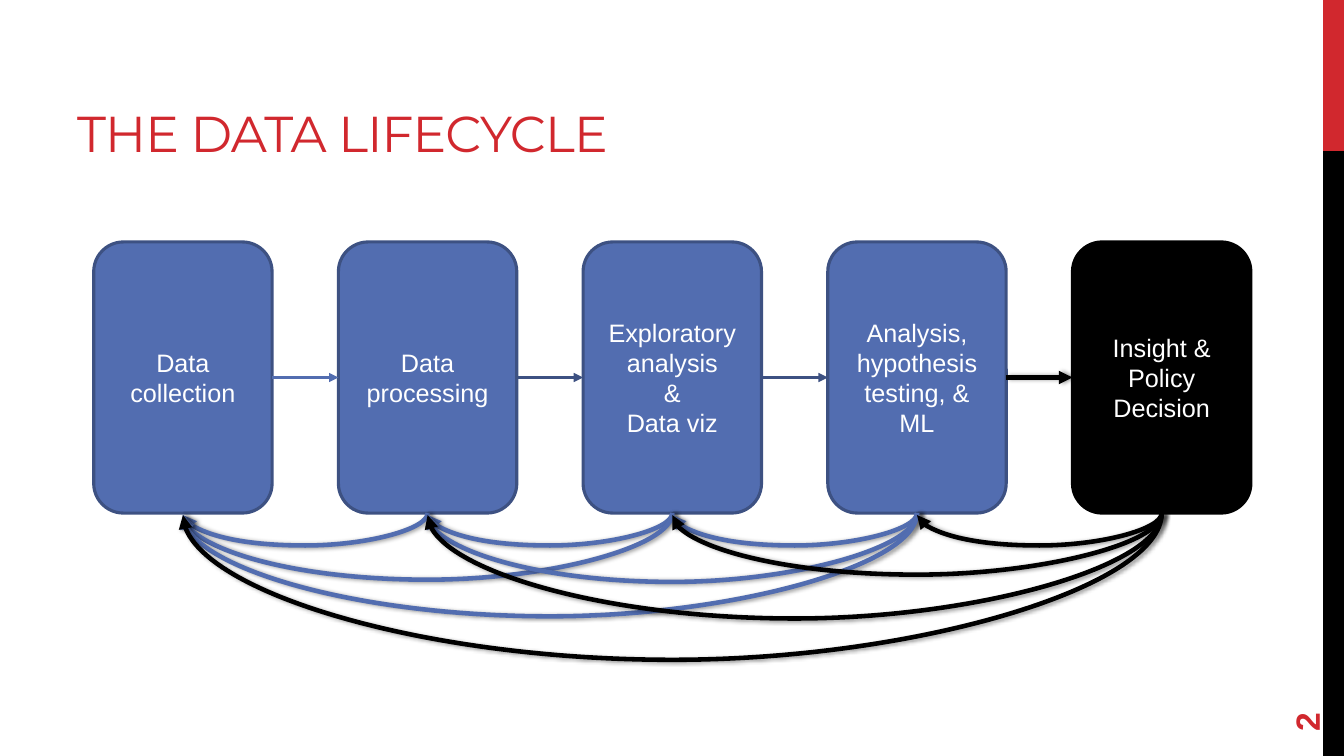
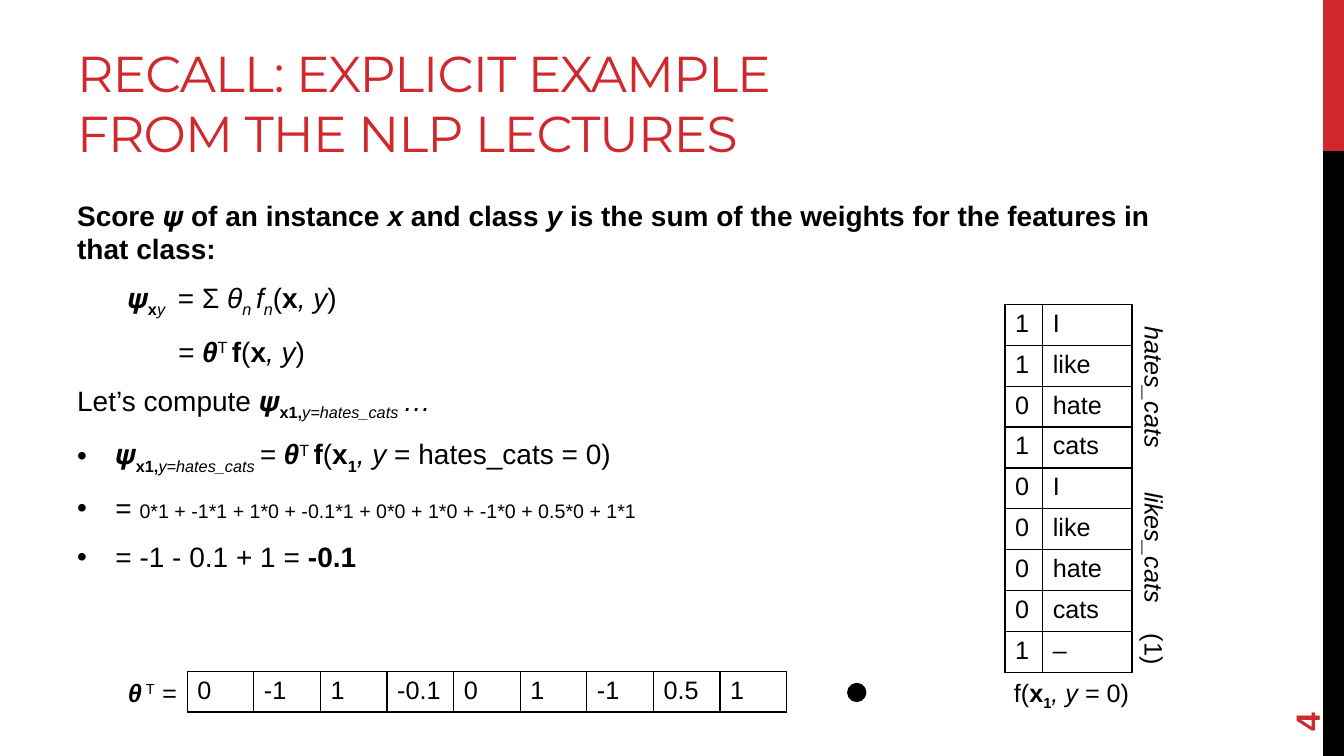
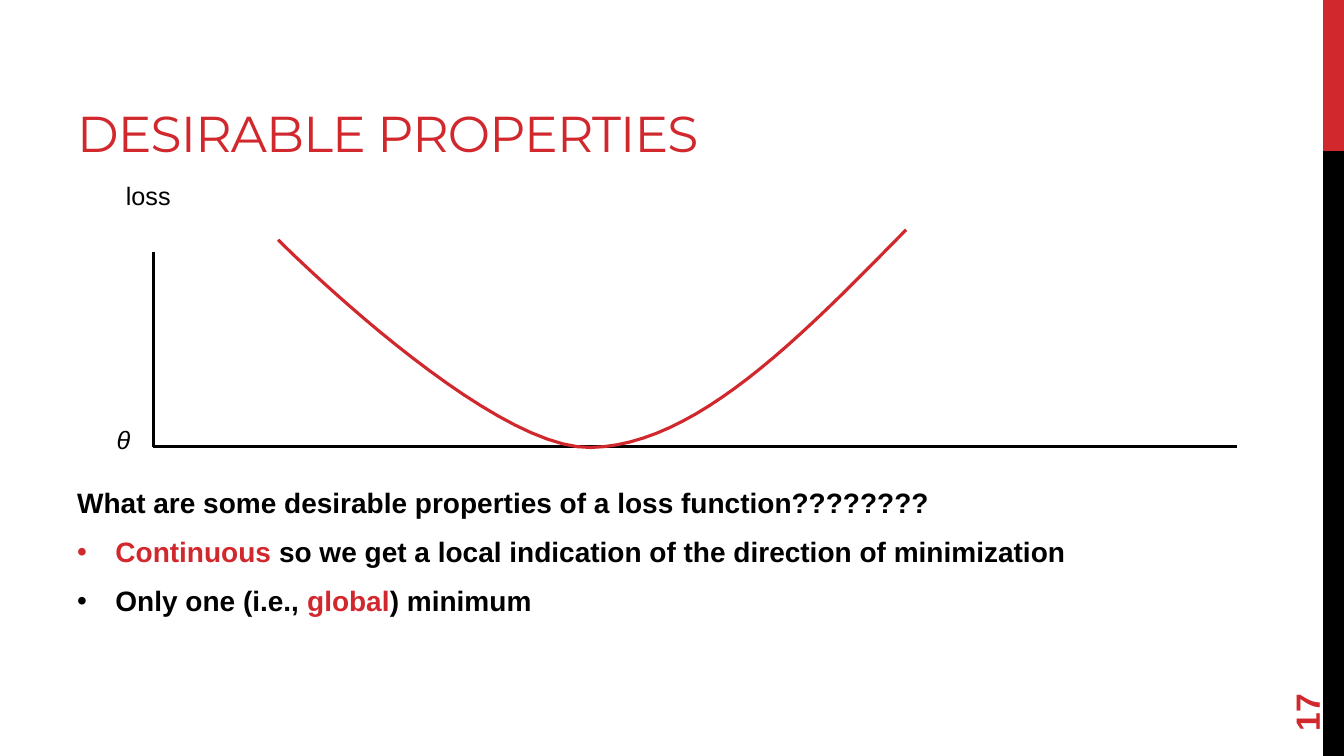
from dataclasses import dataclass
from typing import NamedTuple

from lxml import etree
from pptx import Presentation
from pptx import util as u
from pptx.dml.color import RGBColor
from pptx.enum import shapes, text
from pptx.oxml import ns

# The slide is a grid of square cells
COLUMNS, ROWS = 160, 90
CELL = u.Inches(7.5) // ROWS

RED = RGBColor(0xD1, 0x28, 0x2E)
BLACK = RGBColor(0, 0, 0)
WHITE = RGBColor(0xFF, 0xFF, 0xFF)
BLUE = RGBColor(0x52, 0x6D, 0xB0)
NAVY = RGBColor(0x3D, 0x51, 0x82)

BODY_FONT, TITLE_FONT = "Arial", "Montserrat"
BODY_SIZE, LABEL_SIZE = 20, 18
THIN, THICK = 2.25, 3.25
INDENT = u.Inches(0.38)
LEFT, MIDDLE = text.PP_ALIGN.LEFT, text.PP_ALIGN.CENTER


class Area(NamedTuple):
    left: float
    top: float
    width: float
    height: float


class Point(NamedTuple):
    x: float
    y: float


class Span(NamedTuple):
    """Text with marks: b bold, i italic, ^ raised, _ lowered, r red, s small."""
    words: str
    marks: str = ""


@dataclass
class Line:
    spans: list[Span]
    bullet: bool = False
    bold: bool = False


@dataclass
class Stage:
    lines: list[str]
    fill: RGBColor = BLUE
    edge: RGBColor = NAVY


@dataclass
class Loop:
    start: int
    end: int
    depth: float


@dataclass
class Label:
    area: Area
    spans: list[Span]
    align: text.PP_ALIGN = LEFT
    rotation: float = 0


BODY = Area(8, 23, 133.3, 57.4)
TITLE = Area(8, 2, 101.3, 18)
NUMBER = Area(146.88, 76.44, 17.28, 6.36)
BANDS = [(Area(157.5, 0, 2.5, 18), RED), (Area(157.5, 18, 2.5, 72), BLACK)]


def cells(count: float) -> u.Emu:
    return u.Emu(round(count * CELL))


def place(area) -> list[u.Emu]:
    return [cells(length) for length in area]


# Text
def write(para, spans, size, color=BLACK, font=BODY_FONT, bold=False) -> None:
    para.font.name, para.font.size, para.font.bold = font, u.Pt(size), bold
    para.font.color.rgb = color
    for words, marks in spans:
        run = para.add_run()
        run.text = words
        if "b" in marks:
            run.font.bold = True
        if "i" in marks:
            run.font.italic = True
        if "r" in marks:
            run.font.color.rgb = RED
        if "s" in marks:
            run.font.size = u.Pt(14)
        if "^" in marks or "_" in marks:
            shift = "30000" if "^" in marks else "-25000"
            run._r.get_or_add_rPr().set("baseline", shift)


def add_box(page, area, anchor=text.MSO_ANCHOR.TOP, rotation=0.0):
    box = page.shapes.add_textbox(*place(area))
    box.rotation = rotation
    box.text_frame.word_wrap = True
    box.text_frame.vertical_anchor = anchor
    return box.text_frame


def add_label(page, label: Label) -> None:
    para = add_box(page, label.area, rotation=label.rotation).paragraphs[0]
    para.alignment = label.align
    write(para, label.spans, LABEL_SIZE)


def add_body(page, area: Area, lines: list[Line]) -> None:
    frame = add_box(page, area)
    for index, line in enumerate(lines):
        para = frame.add_paragraph() if index else frame.paragraphs[0]
        if line.bullet:
            props = para._p.get_or_add_pPr()
            props.set("marL", str(INDENT))
            props.set("indent", str(-INDENT))
            etree.SubElement(props, ns.qn("a:buFont"), typeface=BODY_FONT)
            etree.SubElement(props, ns.qn("a:buChar"), char="•")
        if index:
            para.space_before = u.Pt(5)
        para.space_after = u.Pt(6)
        write(para, line.spans, BODY_SIZE, bold=line.bold)


# Shapes and lines
def add_shape(page, kind, area, fill, edge=None):
    shape = page.shapes.add_shape(kind, *place(area))
    shape.shadow.inherit = False
    shape.fill.solid()
    shape.fill.fore_color.rgb = fill
    if edge is None:
        shape.line.fill.background()
    else:
        shape.line.color.rgb, shape.line.width = edge, u.Pt(THIN)
    return shape


def add_line(page, start, end, color=BLACK, width=THIN, arrow=False,
             shadow=False, kind=shapes.MSO_CONNECTOR.STRAIGHT):
    line = page.shapes.add_connector(kind, *place(start), *place(end))
    line.line.color.rgb, line.line.width = color, u.Pt(width)
    props = line._element.spPr
    if arrow:
        etree.SubElement(line.line._get_or_add_ln(), ns.qn("a:tailEnd"), type="triangle")
    effects = etree.SubElement(props, ns.qn("a:effectLst"))
    if shadow:
        cast = etree.SubElement(effects, ns.qn("a:outerShdw"), blurRad="40000",
                                dist="23000", dir="0", rotWithShape="0")
        tint = etree.SubElement(cast, ns.qn("a:srgbClr"), val=str(BLACK))
        etree.SubElement(tint, ns.qn("a:alpha"), val="40000")
    return line


def add_loop(page, start: Point, end: Point, depth: float, color) -> None:
    """Curved arrow that hangs below two points and runs from right to left."""
    drop, span = 0.24, start.x - end.x
    corner = Point((start.x + end.x - drop) / 2, start.y + (drop - span) / 2)
    curve = add_line(page, corner, Point(corner.x + drop, corner.y + span), color,
                     THICK, arrow=True, shadow=True, kind=shapes.MSO_CONNECTOR.CURVE)
    props = curve._element.spPr
    props.find(ns.qn("a:xfrm")).set("rot", "5400000")
    geometry = props.find(ns.qn("a:prstGeom"))
    guides = geometry.get_or_add_avLst()
    etree.SubElement(guides, ns.qn("a:gd"), name="adj1",
                     fmla=f"val {round(depth / drop * 100000)}")


def add_grid(page, left, top, widths, row_height, rows) -> None:
    area = Area(left, top, sum(widths), row_height * len(rows))
    table = page.shapes.add_table(len(rows), len(widths), *place(area)).table
    table.first_row = table.horz_banding = False
    for column, width in zip(table.columns, widths):
        column.width = cells(width)
    for row, values in zip(table.rows, rows):
        row.height = cells(row_height)
        for cell, value in zip(row.cells, values):
            write(cell.text_frame.paragraphs[0], [Span(value)], LABEL_SIZE)
            props = cell._tc.get_or_add_tcPr()
            for side in ("lnL", "lnR", "lnT", "lnB"):
                edge = etree.SubElement(props, ns.qn(f"a:{side}"), w=str(u.Pt(1)))
                paint = etree.SubElement(edge, ns.qn("a:solidFill"))
                etree.SubElement(paint, ns.qn("a:srgbClr"), val=str(BLACK))
            cell.fill.background()


def bezier(a: Point, b: Point, c: Point, d: Point, steps: int = 24) -> list[Point]:
    points = []
    for step in range(1, steps + 1):
        t = step / steps
        weights = ((1 - t) ** 3, 3 * t * (1 - t) ** 2, 3 * t * t * (1 - t), t ** 3)
        points.append(Point(*(sum(w * v for w, v in zip(weights, axis))
                              for axis in zip(a, b, c, d))))
    return points


# Parts shared by all slides
def add_page(deck, title: str, number: int):
    page = deck.slides.add_slide(deck.slide_layouts[6])
    for area, color in BANDS:
        add_shape(page, shapes.MSO_SHAPE.RECTANGLE, area, color)
    para = add_box(page, TITLE, text.MSO_ANCHOR.BOTTOM).paragraphs[0]
    write(para, [Span(title)], 36, RED, TITLE_FONT)
    para.runs[0]._r.get_or_add_rPr().set("spc", "-60")
    para = add_box(page, NUMBER, text.MSO_ANCHOR.MIDDLE, 270).paragraphs[0]
    write(para, [Span(str(number))], 24, RED, bold=True)
    return page


def lifecycle(deck) -> None:
    page = add_page(deck, "THE DATA LIFECYCLE", 2)
    stages = [
        Stage(["Data collection"]),
        Stage(["Data processing"]),
        Stage(["Exploratory analysis", "&", "Data viz"]),
        Stage(["Analysis, hypothesis testing, & ML"]),
        Stage(["Insight & Policy Decision"], BLACK, BLACK),
    ]
    first, pitch = Area(11.16, 28.8, 21.24, 32.28), 29.13
    boxes = []
    for index, stage in enumerate(stages):
        area = first._replace(left=first.left + index * pitch)
        box = add_shape(page, shapes.MSO_SHAPE.ROUNDED_RECTANGLE, area, stage.fill, stage.edge)
        frame = box.text_frame
        frame.word_wrap = True
        frame.vertical_anchor = text.MSO_ANCHOR.MIDDLE
        for row, words in enumerate(stage.lines):
            para = frame.add_paragraph() if row else frame.paragraphs[0]
            para.alignment = MIDDLE
            write(para, [Span(words)], LABEL_SIZE, WHITE)
        boxes.append(box)

    # Forward arrows
    for index, color in enumerate([BLUE, NAVY, NAVY, BLACK]):
        last = color == BLACK
        arrow = add_line(page, Point(0, 0), Point(1, 1), color,
                         THICK if last else THIN, arrow=True, shadow=last)
        arrow.begin_connect(boxes[index], 3)
        arrow.end_connect(boxes[index + 1], 1)

    # Arrows back to earlier stages
    feet = [Point(first.left + first.width / 2 + index * pitch, first.top + first.height)
            for index in range(len(stages))]
    loops = [Loop(1, 0, 3.84), Loop(2, 1, 3.84), Loop(2, 0, 7.9),
             Loop(3, 2, 3.84), Loop(3, 1, 8.16), Loop(3, 0, 12.24),
             Loop(4, 3, 3.84), Loop(4, 2, 7.3), Loop(4, 1, 12.5), Loop(4, 0, 17.4)]
    for loop in loops:
        add_loop(page, feet[loop.start], feet[loop.end], loop.depth, stages[loop.start].fill)


def explicit_example(deck) -> None:
    page = add_page(deck, "RECALL: EXPLICIT EXAMPLE FROM THE NLP LECTURES", 4)
    weights_by_features = [Span("θ", "bi"), Span("T ", "^"), Span("f", "b"),
                           Span("("), Span("x", "b")]
    instance = [Span("x1,", "b_"), Span("y=hates_cats ", "i_")]
    add_body(page, BODY, [
        Line([Span("Score "), Span("𝝍 "), Span("of an instance "), Span("x", "i"),
              Span(" and class "), Span("y", "i"),
              Span(" is the sum of the weights for the features in that class:")], bold=True),
        Line([Span("\t𝝍"), Span("x", "b_"), Span("y\t", "i_"), Span("= Σ "),
              Span("θ", "i"), Span("n ", "i_"), Span("f", "i"), Span("n", "i_"),
              Span("("), Span("x", "b"), Span(", y", "i"), Span(")")]),
        Line([Span("\t\t= ", "i"), *weights_by_features, Span(", y", "i"), Span(")")]),
        Line([Span("Let’s compute 𝝍"), *instance, Span("…", "i")]),
        Line([Span("𝝍"), *instance, Span("= ", "i"), *weights_by_features,
              Span("1", "b_"), Span(", y ", "i"), Span("= hates_cats = 0)")], bullet=True),
        Line([Span("= "), Span("0*1 + -1*1 + 1*0 + -0.1*1 + 0*0 + 1*0 + -1*0 + 0.5*0 + 1*1",
                               "s")], bullet=True),
        Line([Span("= -1 - 0.1 + 1 = "), Span("-0.1", "b")], bullet=True),
    ])

    # Weights and features
    weights = ["0", "-1", "1", "-0.1", "0", "1", "-1", "0.5", "1"]
    counts = "110100001"
    terms = ["I", "like", "hate", "cats"] * 2 + ["–"]
    row_height = 4.87
    add_grid(page, 22.3, 79.9, [7.93] * len(weights), row_height, [weights])
    add_grid(page, 119.64, 36.24, [4.5, 10.62], row_height, list(zip(counts, terms)))
    add_shape(page, shapes.MSO_SHAPE.OVAL, Area(101.04, 81.48, 1.92, 1.92), BLACK, BLACK)

    labels = [
        Label(Area(9.4, 80.04, 12.8, 4.8),
              [Span("θ", "bi"), Span(" T", "^"), Span(" =", "i")], text.PP_ALIGN.RIGHT),
        Label(Area(127.56, 43.68, 19.8, 4.8), [Span("hates_cats", "i")], MIDDLE, 90),
        Label(Area(127.56, 62.76, 19.8, 4.8), [Span("likes_cats", "i")], MIDDLE, 90),
        Label(Area(132.84, 74.88, 9.24, 4.8), [Span("(1)")], MIDDLE, 90),
        Label(Area(119.52, 80.04, 16.68, 4.8),
              [Span("f("), Span("x", "b"), Span("1", "b_"), Span(", y ", "i"), Span("= 0)")]),
    ]
    for label in labels:
        add_label(page, label)


def desirable_properties(deck) -> None:
    page = add_page(deck, "DESIRABLE PROPERTIES", 17)

    # Axes
    origin = Point(18.24, 53.16)
    add_line(page, Point(147.24, origin.y), origin)
    add_line(page, Point(origin.x, 30), origin)
    add_label(page, Label(Area(13.8, 20.88, 10.56, 6.48), [Span("loss")]))
    add_label(page, Label(Area(12.72, 49.92, 5.52, 6.48), [Span("θ", "i")]))

    # Loss curve
    right, bottom, left = Point(107.88, 27.36), Point(70.32, 53.28), Point(33.12, 28.56)
    points = (bezier(right, Point(95.28, 40.2), Point(82.8, 53.04), bottom)
              + bezier(bottom, Point(57.96, 53.52), left, left))
    builder = page.shapes.build_freeform(*place(right))
    builder.add_line_segments([place(point) for point in points], close=False)
    curve = builder.convert_to_shape()
    curve.shadow.inherit = False
    curve.fill.background()
    curve.line.color.rgb, curve.line.width = RED, u.Pt(THIN)

    add_body(page, Area(BODY.left, 57.24, BODY.width, 23.16), [
        Line([Span("What are some desirable properties of a loss function????????")],
             bold=True),
        Line([Span("Continuous", "r"),
              Span(" so we get a local indication of the direction of minimization")],
             bullet=True, bold=True),
        Line([Span("Only one (i.e., "), Span("global", "r"), Span(") minimum")],
             bullet=True, bold=True),
    ])


def main() -> None:
    deck = Presentation()
    deck.slide_width, deck.slide_height = cells(COLUMNS), cells(ROWS)
    lifecycle(deck)
    explicit_example(deck)
    desirable_properties(deck)
    deck.save("out.pptx")


if __name__ == "__main__":
    main()
